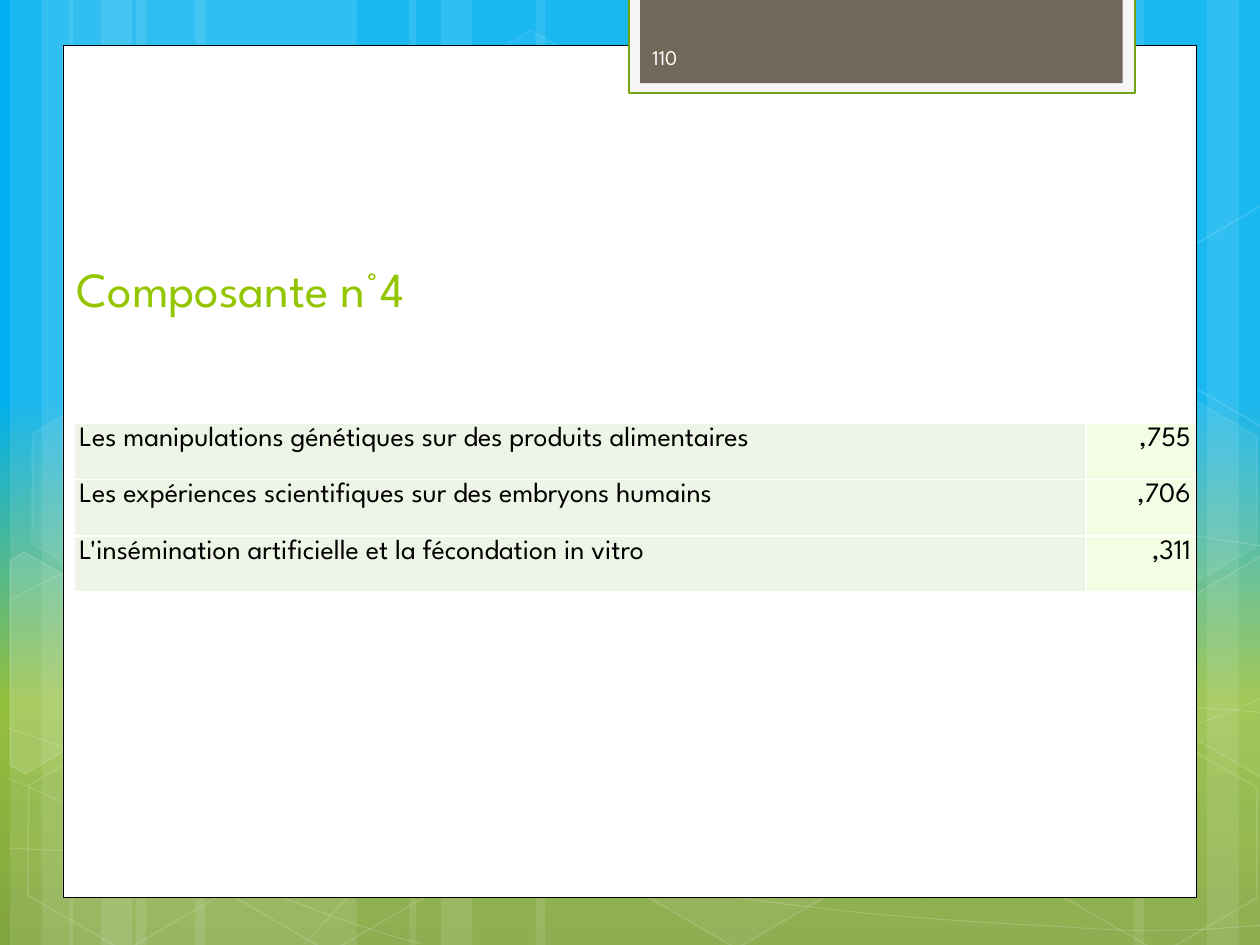
from math import cos, radians, sin

from pptx import Presentation
from pptx.dml.color import RGBColor
from pptx.enum.shapes import MSO_SHAPE
from pptx.enum.text import MSO_ANCHOR, PP_ALIGN
from pptx.oxml import parse_xml
from pptx.oxml.ns import nsdecls, qn
from pptx.util import Inches, Pt

FONT = "League Spartan"
WHITE = "FFFFFF"
TILT = 30
SKY = [(0, "00B0F0"), (42, "00B0F0"), (74, "93BF3F"), (100, "81A53E")]
STRIPES = [(1.08, 1.75, 0), (0.08, 0.5, 0), (0.33, 0.83, 0), (1.55, 1.75, 0),
           (0.55, 0.5, 0), (0.8, 0.83, 0), (7.33, 1.75, 180), (9.58, 0.5, 180),
           (9, 0.83, 180), (4.25, 3.08, 0), (3.25, 0.5, 0), (3.5, 0.83, 0)]
WAVES = [
    [(0.07, 6.73), (0.61, 6.76), (1.15, 6.79), (1.9, 6.78), (2.65, 6.77), (3.58, 6.75),
     (4.58, 6.65), (5.58, 6.55), (7, 6.36), (7.92, 6.17), (8.83, 5.98), (9.77, 5.68), (10.07, 5.51)],
    [(0.07, 4.77), (0.36, 4.61), (0.65, 4.46), (1.21, 4.31), (1.78, 4.16), (2.59, 3.94),
     (3.47, 3.87), (4.36, 3.8), (5.44, 3.79), (6.54, 3.87), (7.64, 3.95), (9.47, 4.26), (10.07, 4.34)],
    [(0.06, 6.17), (1.27, 6.72), (2.47, 7.27), (3.34, 7.49)],
    [(0.07, 5.78), (0.38, 5.89), (0.7, 6), (1.28, 6.16), (1.86, 6.31), (2.73, 6.56),
     (3.57, 6.73), (4.4, 6.9), (5.45, 7.08), (6.28, 7.18), (7.11, 7.29), (8, 7.33),
     (8.53, 7.36), (9.05, 7.4), (9.19, 7.38), (9.45, 7.38), (9.71, 7.37), (9.89, 7.35), (10.07, 7.34)],
    [(2.42, 7.49), (2.6, 7.29), (2.78, 7.09), (3.02, 6.91), (3.26, 6.73), (3.6, 6.53),
     (3.88, 6.39), (4.16, 6.25), (4.33, 6.19), (4.7, 6.09), (5.06, 5.99), (5.73, 5.85),
     (6.08, 5.78), (6.44, 5.71), (6.49, 5.71), (6.8, 5.69), (7.11, 5.66), (7.6, 5.63),
     (7.94, 5.62), (8.29, 5.61), (8.86, 5.62), (8.86, 5.62), (9.08, 5.62), (9.31, 5.62),
     (9.53, 5.62), (9.71, 5.63), (9.88, 5.64), (9.97, 5.65), (10.06, 5.66), (10.03, 5.65), (10.06, 5.66)],
]
HEXAGONS = [(3.34, 0.36, 4, 8), (4.97, 5.89, 6, 12), (0.11, 5.91, 0, 12), (0.14, 3.12, 7, 8),
            (1.74, 5.92, 0, 12), (7.53, 4.53, 10, 12), (8.34, 5.93, 0, 12), (8.34, 3.14, 7, 8)]
CUT_HEXAGONS = [
    ((0.36, 5.35), [(0.08, 4.45), (0.19, 4.38), (0.96, 4.82), (0.95, 5.7), (0.2, 6.14), (0.08, 6.07)], 10),
    ((9.85, 5.2), [(9.26, 4.85), (10.01, 4.41), (10.09, 4.46), (10.09, 6.13), (10.02, 6.17), (9.26, 5.73)], 4),
    ((9.85, 2.41), [(9.26, 2.07), (10.01, 1.63), (10.1, 1.68), (10.09, 3.35), (10.02, 3.39), (9.26, 2.95)], 0),
]
LOADINGS = [("Les manipulations génétiques sur des produits alimentaires", ",755"),
            ("Les expériences scientifiques sur des embryons humains", ",706"),
            ("L'insémination artificielle et la fécondation in vitro", ",311")]


def rgb(value):
    """Turn a hex string into a colour."""
    return RGBColor.from_string(value)


def paint(fill, color, opacity=100):
    """Fill with a colour at a percentage of opacity, or leave empty."""
    if not color or not opacity:
        fill.background()
        return
    fill.solid()
    fill.fore_color.rgb = rgb(color)
    if opacity < 100:
        tint = fill._xPr.find(qn("a:solidFill"))[0]
        tint.append(parse_xml(f'<a:alpha {nsdecls("a")} val="{opacity * 1000}"/>'))


def style(shape, color, opacity=100, edge=None, width=1, edge_opacity=100):
    """Give a shape its fill and outline, without shadow."""
    shape.shadow.inherit = False
    paint(shape.fill, color, opacity)
    paint(shape.line.fill, edge, edge_opacity)
    if edge:
        shape.line.width = Pt(width)


def add_box(slide, left, top, width, height, kind=MSO_SHAPE.RECTANGLE):
    """Add a preset shape placed in inches."""
    return slide.shapes.add_shape(kind, Inches(left), Inches(top), Inches(width), Inches(height))


def add_outline(slide, points, close):
    """Add a freeform through points given in inches."""
    start, *rest = [(Inches(x), Inches(y)) for x, y in points]
    builder = slide.shapes.build_freeform(*start)
    builder.add_line_segments(rest, close=close)
    return builder.convert_to_shape()


def add_wave(slide, controls):
    """Add an open chain of cubic curves."""
    wave = add_outline(slide, controls, False)
    legs = list(wave.element.iter(qn("a:lnTo")))
    for first in range(0, len(legs), 3):
        curve = parse_xml(f'<a:cubicBezTo {nsdecls("a")}/>')
        legs[first].addprevious(curve)
        for leg in legs[first:first + 3]:
            curve.append(leg[0])
            leg.getparent().remove(leg)
    return wave


def untilt(point, center):
    """Turn a point back by the tilt around a center."""
    dx, dy = point[0] - center[0], point[1] - center[1]
    c, s = cos(radians(TILT)), sin(radians(TILT))
    return center[0] + dx * c + dy * s, center[1] - dx * s + dy * c


def add_run(paragraph, text, size, color):
    """Add a formatted run."""
    run = paragraph.add_run()
    run.text = text
    run.font.size = Pt(size)
    run.font.name = FONT
    run.font.color.rgb = rgb(color)


def set_background(slide):
    """Apply the vertical sky-to-grass gradient."""
    fill = slide.background.fill
    fill.gradient()
    fill.gradient_angle = 270
    stops = "".join(f'<a:gs pos="{pos * 1000}"><a:srgbClr val="{color}"/></a:gs>' for pos, color in SKY)
    old_stops = next(slide.element.iter(qn("a:gsLst")))
    old_stops.getparent().replace(old_stops, parse_xml(f'<a:gsLst {nsdecls("a")}>{stops}</a:gsLst>'))


def add_decor(slide):
    """Draw the translucent stripes, waves and hexagons."""
    for left, width, turn in STRIPES:
        stripe = add_box(slide, left, 0, width, 7.5)
        stripe.rotation = turn
        style(stripe, WHITE, 10)
    for controls in WAVES:
        style(add_wave(slide, controls), None, 0, WHITE, 0.5, 20)
    for left, top, opacity, edge_opacity in HEXAGONS:
        hexagon = add_box(slide, left, top, 1.75, 1.52, MSO_SHAPE.HEXAGON)
        hexagon.adjustments[0] = 0.285
        hexagon.rotation = TILT
        style(hexagon, WHITE, opacity, WHITE, 1, edge_opacity)
    for center, corners, opacity in CUT_HEXAGONS:
        cut = add_outline(slide, [untilt(corner, center) for corner in corners], True)
        cut.rotation = TILT
        style(cut, WHITE, opacity, WHITE, 1, 12)


def add_panel(slide):
    """Draw the white page and its tab."""
    style(add_box(slide, 0.5, 0.36, 9, 6.76), WHITE, edge="000000", width=0.5)
    style(add_box(slide, 4.99, -0.02, 4.02, 0.76), "F5F5F5", edge="74A510", width=1.25)
    style(add_box(slide, 5.08, -0.02, 3.83, 0.68), "71685A")


def add_title(slide, text):
    """Place the title above the backdrop."""
    title = slide.shapes.title
    title.left, title.top, title.width, title.height = Inches(0.51), Inches(2.02), Inches(6.22), Inches(0.55)
    title.element.getparent().append(title.element)
    title.text_frame.vertical_anchor = MSO_ANCHOR.BOTTOM
    heading = title.text_frame.paragraphs[0]
    heading.alignment = PP_ALIGN.LEFT
    add_run(heading, text, 28, "94C600")


def add_page_number(slide, number):
    """Write the page number on the tab."""
    frame = slide.shapes.add_textbox(Inches(5.08), Inches(0.25), Inches(1.46), Inches(0.4)).text_frame
    frame.word_wrap = True
    frame.vertical_anchor = MSO_ANCHOR.MIDDLE
    add_run(frame.paragraphs[0], number, 12, "FEFEFE")


def format_cell(cell, text, color, alignment):
    """Write a cell with its fill and white borders."""
    cell.margin_left = cell.margin_right = Inches(0.04)
    cell.margin_top = cell.margin_bottom = 0
    paint(cell.fill, color)
    for position, side in enumerate("LRTB"):
        cell._tc.get_or_add_tcPr().insert(position, parse_xml(
            f'<a:ln{side} {nsdecls("a")} w="12700"><a:solidFill><a:srgbClr val="{WHITE}"/>'
            f'</a:solidFill></a:ln{side}>'))
    paragraph = cell.text_frame.paragraphs[0]
    paragraph.alignment = alignment
    paragraph.line_spacing = 1.15
    add_run(paragraph, text, 16, "000000")


def add_loadings(slide):
    """Build the table of items and their loadings."""
    table = slide.shapes.add_table(len(LOADINGS), 2, Inches(0.59), Inches(3.36),
                                   Inches(8.9), Inches(1.34)).table
    table.first_row = table.horz_banding = False
    table.columns[0].width, table.columns[1].width = Inches(8.03), Inches(0.87)
    for row, (item, loading) in enumerate(LOADINGS):
        format_cell(table.cell(row, 0), item, "EEF5E7", PP_ALIGN.LEFT)
        format_cell(table.cell(row, 1), loading, "F4FCE4", PP_ALIGN.RIGHT)


def main():
    """Build and save the slide."""
    deck = Presentation()
    deck.slide_width, deck.slide_height = Inches(10), Inches(7.5)
    slide = deck.slides.add_slide(deck.slide_layouts[5])
    set_background(slide)
    add_decor(slide)
    add_panel(slide)
    add_title(slide, "Composante n°4")
    add_page_number(slide, "110")
    add_loadings(slide)
    deck.save("out.pptx")


if __name__ == "__main__":
    main()
